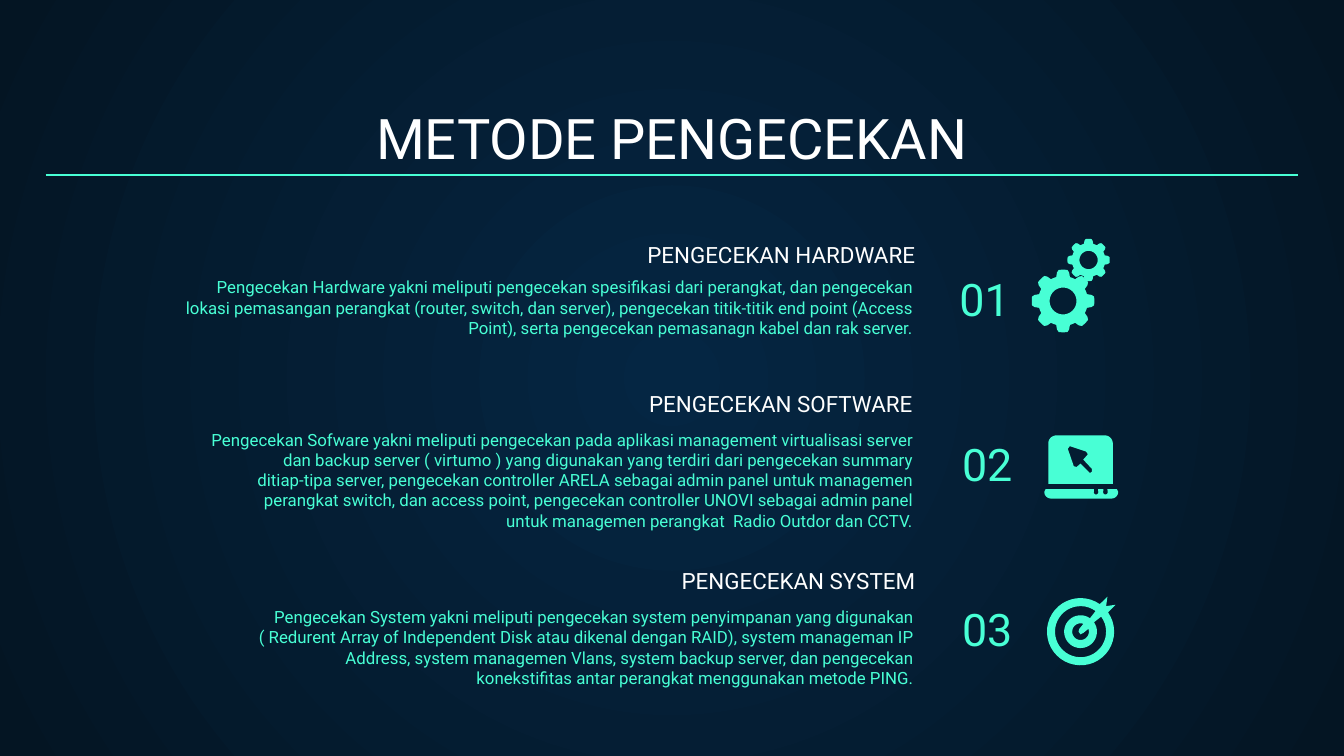
from math import cos, radians, sin

from pptx import Presentation
from pptx import util as u
from pptx.dml.color import RGBColor
from pptx.enum import shapes, text
from pptx.oxml import parse_xml
from pptx.oxml.ns import nsdecls

CELL = u.Inches(0.1)
COLUMNS, ROWS = 100, 56.25
MARGIN = 3.4
FONT = "Roboto"
WHITE = RGBColor(0xFF, 0xFF, 0xFF)
MINT = RGBColor(0x48, 0xFF, 0xD5)
NAVY = RGBColor(0x05, 0x26, 0x43)
MIDNIGHT = RGBColor(0x04, 0x15, 0x23)

METHODS = [
    dict(
        heading="PENGECEKAN HARDWARE", heading_box=(46.4, 15.35, 22.7, 5.6),
        body="Pengecekan Hardware yakni meliputi pengecekan spesifikasi dari perangkat, "
             "dan pengecekan lokasi pemasangan perangkat (router, switch, dan server), "
             "pengecekan titik-titik end point (Access Point), serta pengecekan "
             "pemasanagn kabel dan rak server.",
        body_box=(12.05, 19.62, 56.8, 5.5), hanging=False,
        number_box=(70.4, 18.65, 12.9, 6.6)),
    dict(
        heading="PENGECEKAN SOFTWARE", heading_box=(46.2, 29.95, 22.7, 2.1),
        body="Pengecekan Sofware yakni meliputi pengecekan pada aplikasi management "
             "virtualisasi server dan backup server ( virtumo ) yang digunakan yang terdiri "
             "dari pengecekan summary ditiap-tipa server, pengecekan controller ARELA "
             "sebagai admin panel untuk managemen perangkat switch, dan access point, "
             "pengecekan controller UNOVI sebagai admin panel untuk managemen perangkat  "
             "Radio Outdor dan CCTV.",
        body_box=(12.05, 30.95, 56.8, 5.5), hanging=True,
        number_box=(70.6, 30.9, 12.9, 6.6)),
    dict(
        heading="PENGECEKAN SYSTEM", heading_box=(46.4, 43.1, 22.7, 2.1),
        body="Pengecekan System yakni meliputi pengecekan system penyimpanan yang digunakan "
             "( Redurent Array of Independent Disk atau dikenal dengan RAID), system "
             "manageman IP Address, system managemen Vlans, system backup server, dan "
             "pengecekan konekstifitas antar perangkat menggunakan metode PING.",
        body_box=(12.1, 44.15, 56.8, 5.5), hanging=True,
        number_box=(70.6, 43.15, 12.9, 6.6)),
]


def cells(*values):
    return [u.Emu(round(value * CELL)) for value in values]


def paint_background(slide):
    fill = slide.background.fill
    fill.gradient()
    for stop, color, position in zip(fill.gradient_stops, (NAVY, MIDNIGHT), (0, 1)):
        stop.color.rgb = color
        stop.position = position
    gradient = slide.element.xpath(".//p:bg//a:gradFill")[0]
    for linear in gradient.xpath("./a:lin"):
        gradient.remove(linear)
    gradient.append(parse_xml(
        f'<a:path {nsdecls("a")} path="circle">'
        '<a:fillToRect l="50000" t="50000" r="50000" b="50000"/></a:path>'))


def write_text(shape, content, size, color, align, anchor):
    frame = shape.text_frame
    frame.text = content
    frame.word_wrap = True
    frame.auto_size = text.MSO_AUTO_SIZE.NONE
    frame.vertical_anchor = anchor
    frame.margin_left = frame.margin_right = CELL
    frame.margin_top = frame.margin_bottom = CELL
    paragraph = frame.paragraphs[0]
    paragraph.alignment = align
    paragraph.font.name = FONT
    paragraph.font.size = u.Pt(size)
    paragraph.font.color.rgb = color
    return paragraph


def add_title(slide, content):
    title = slide.shapes.title
    title.left, title.top, title.width, title.height = cells(
        MARGIN, 7.1, COLUMNS - 2 * MARGIN, 6.6)
    write_text(title, content, 30, WHITE, text.PP_ALIGN.CENTER, text.MSO_ANCHOR.BOTTOM)


def add_rule(slide, row):
    rule = slide.shapes.add_connector(
        shapes.MSO_CONNECTOR.STRAIGHT, *cells(MARGIN, row, COLUMNS - MARGIN, row))
    rule.line.color.rgb = MINT
    rule.line.width = u.Pt(0.75)
    rule._element.spPr.append(parse_xml(f'<a:effectLst {nsdecls("a")}/>'))


def add_text(slide, box, *style):
    return write_text(slide.shapes.add_textbox(*cells(*box)), *style)


def add_method(slide, number, method):
    right, left = text.PP_ALIGN.RIGHT, text.PP_ALIGN.LEFT
    top, bottom = text.MSO_ANCHOR.TOP, text.MSO_ANCHOR.BOTTOM
    add_text(slide, method["heading_box"], method["heading"], 12, WHITE, right, bottom)
    body = add_text(slide, method["body_box"], method["body"], 9, MINT, right, top)
    if method["hanging"]:
        body.space_after = u.Pt(8)
        properties = body._p.get_or_add_pPr()
        properties.set("marL", str(u.Inches(0.55)))
        properties.set("indent", str(u.Inches(-0.38)))
    add_text(slide, method["number_box"], f"{number:02}", 24, MINT, left, bottom)


def arc(center, radius, start=0, stop=360, steps=40):
    angles = [radians(start + (stop - start) * step / steps) for step in range(steps + 1)]
    return [(center[0] + radius * cos(angle), center[1] + radius * sin(angle))
            for angle in angles]


def add_outline(slide, *contours):
    first, *others = [[cells(*point) for point in contour] for contour in contours]
    builder = slide.shapes.build_freeform(*first[0], scale=1.0)
    builder.add_line_segments(first[1:], close=True)
    for contour in others:
        builder.move_to(*contour[0])
        builder.add_line_segments(contour[1:], close=True)
    shape = builder.convert_to_shape()
    shape.shadow.inherit = False
    shape.fill.solid()
    shape.fill.fore_color.rgb = MINT
    shape.line.fill.background()


def add_gear(slide, center, tip, root, hole):
    rim = []
    for tooth in range(0, 360, 45):
        rim += arc(center, 0.93 * tip, tooth - 12, tooth - 12, 1)
        rim += arc(center, tip, tooth - 8, tooth + 8, 4)
        rim += arc(center, 0.93 * tip, tooth + 12, tooth + 12, 1)
        rim += arc(center, root, tooth + 16, tooth + 29, 4)
    add_outline(slide, rim, arc(center, hole))


def add_laptop(slide):
    screen = (arc((78.6, 33), 0.6, 180, 270, 8) + arc((82.2, 33), 0.6, 270, 360, 8)
              + [(82.8, 36), (78, 36)])
    cursor = [(79.6, 33.2), (80.8, 33.6), (80.95, 33.8), (80.6, 34.2), (81.25, 34.9),
              (81.25, 35.1), (81.1, 35.2), (81, 35.1), (80.4, 34.5), (80.1, 34.75),
              (79.9, 34.7), (79.45, 33.4)]
    base = [(77.8, 36.4), (77.7, 36.6)]
    base += arc((78.2, 36.6), 0.5, 180, 90, 8) + arc((82.7, 36.6), 0.5, 90, 0, 8)
    base += [(83.1, 36.4)]
    for column in (82.25, 81.55):
        base += ([(column + 0.15, 36.4)] + arc((column, 36.63), 0.17, 0, 180, 8)
                 + [(column - 0.15, 36.4)])
    add_outline(slide, screen, cursor)
    add_outline(slide, base)


def add_target(slide):
    center = (80.4, 47)
    disc = arc(center, 2.5, -55, -395) + [(83, 45), (82.3, 45.1), (82.4, 44.4)]
    ring = arc(center, 1.9, -36, 306) + arc(center, 1.22, 305, -35)
    shaft = arc(center, 0.62, -20, 290) + [
        (80.3, 46.8), (80.25, 47), (80.4, 47.2), (80.6, 47.1)]
    add_outline(slide, disc, ring, shaft)


def main():
    presentation = Presentation()
    presentation.slide_width, presentation.slide_height = cells(COLUMNS, ROWS)
    slide = presentation.slides.add_slide(presentation.slide_layouts[5])
    paint_background(slide)
    add_title(slide, "METODE PENGECEKAN")
    add_rule(slide, 13.02)
    for number, method in enumerate(METHODS, 1):
        add_method(slide, number, method)
    add_gear(slide, (79.1, 22.4), 2.33, 1.85, 1)
    add_gear(slide, (81, 19.35), 1.57, 1.25, 0.68)
    add_laptop(slide)
    add_target(slide)
    presentation.save("out.pptx")


if __name__ == "__main__":
    main()
